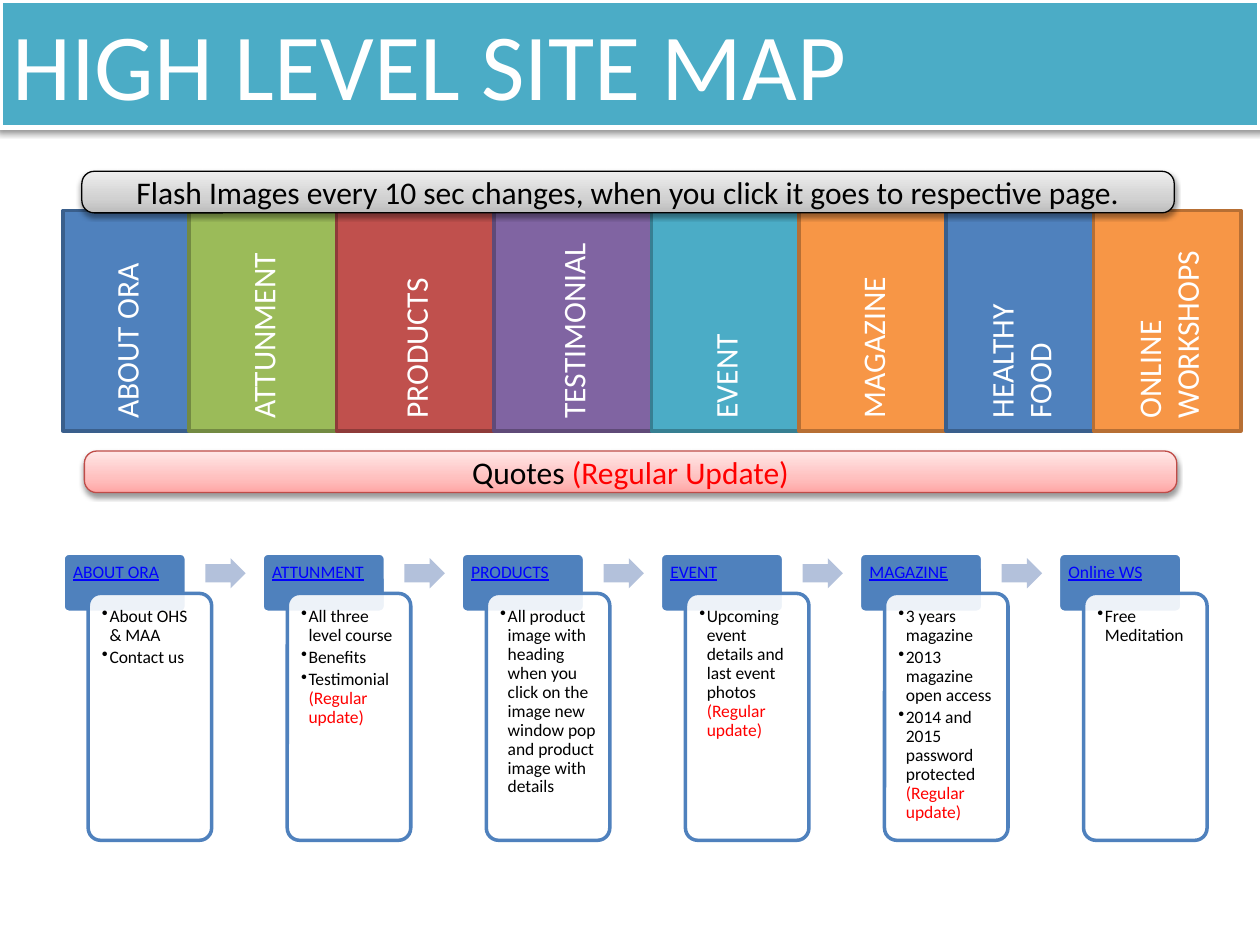
from copy import deepcopy
from dataclasses import dataclass
from itertools import accumulate

from lxml.etree import SubElement
from pptx import Presentation
from pptx.dml.color import RGBColor
from pptx.enum.shapes import MSO_SHAPE as Shape
from pptx.enum.text import MSO_ANCHOR as Anchor, PP_ALIGN as Align
from pptx.oxml.ns import qn
from pptx.util import Inches, Pt


@dataclass(frozen=True)
class Theme:
    """Colours and type sizes of the slide."""
    font: str = "Calibri"
    title: int = 54
    label: int = 18
    small: int = 10
    white: str = "FFFFFF"
    black: str = "000000"
    alert: str = "FF0000"
    link: str = "0000FF"
    arrow: str = "B3C1DB"
    blue: tuple = ("4F81BD", "3A5F8C")
    green: tuple = ("9BBB59", "738A42")
    red: tuple = ("C0504D", "8E3B39")
    purple: tuple = ("8064A2", "5F4A78")
    teal: tuple = ("4BACC6", "377F92")
    orange: tuple = ("F79646", "B76F34")
    quote_line: str = "BF4C48"
    quote_fill: tuple = ("FFA6A5", "FFC0BF", "FFE7E7")
    flash_fill: tuple = ("BDBDBD", "D1D1D1", "EEEEEE")


THEME = Theme()
MENU = [
    ("ABOUT ORA", 1, THEME.blue),
    ("ATTUNMENT", 1.17, THEME.green),
    ("PRODUCTS", 1.25, THEME.red),
    ("TESTIMONIAL", 1.25, THEME.purple),
    ("EVENT", 1.17, THEME.teal),
    ("MAGAZINE", 1.17, THEME.orange),
    ("HEALTHY FOOD", 1.17, THEME.blue),
    ("ONLINE WORKSHOPS", 1.17, THEME.orange),
]
PAGES = [
    ("ABOUT ORA", [("About OHS & MAA",), ("Contact us",)]),
    ("ATTUNMENT", [("All three level course",), ("Benefits",),
                   ("Testimonial ", "(Regular update) ")]),
    ("PRODUCTS", [("All product image with heading when you click on the image "
                   "new window pop and product image with details",)]),
    ("EVENT", [("Upcoming event details and last event photos ", "(Regular update)")]),
    ("MAGAZINE", [("3 years magazine",), ("2013 magazine open access",),
                  ("2014 and 2015 password protected ", "(Regular update)")]),
    ("Online WS", [("Free Meditation",)]),
]


def rgb(code):
    """Turn a hex code into a colour."""
    return RGBColor.from_string(code)


def add_box(slide, kind, box, fill=None, line=None, weight=2, corner=None):
    """Add a preset shape without shadow to the given box."""
    shape = slide.shapes.add_shape(kind, *map(Inches, box))
    shape.shadow.inherit = False
    if fill:
        shape.fill.solid()
        shape.fill.fore_color.rgb = rgb(fill)
    if line:
        shape.line.color.rgb = rgb(line)
        shape.line.width = Pt(weight)
    else:
        shape.line.fill.background()
    if corner is not None:
        shape.adjustments[0] = corner
    return shape


def add_shadow(shape):
    """Give a shape a soft shadow below it."""
    effects = shape._element.spPr.find(qn("a:effectLst"))
    outer = SubElement(effects, qn("a:outerShdw"), blurRad="40000", dist="20000",
                       dir="5400000", rotWithShape="0")
    tint = SubElement(outer, qn("a:srgbClr"), val=THEME.black)
    SubElement(tint, qn("a:alpha"), val="38000")


def add_gradient(shape, colours):
    """Fill a shape with three colours rising from its bottom edge."""
    shape.fill.gradient()
    shape.fill.gradient_angle = 90
    stops = shape._element.spPr.find(qn("a:gradFill")).find(qn("a:gsLst"))
    stops.append(deepcopy(stops[-1]))
    for stop, colour, position in zip(shape.fill.gradient_stops, colours, (0, 0.35, 1)):
        stop.color.rgb = rgb(colour)
        stop.position = position


def write(paragraph, parts, size, colour, align=Align.LEFT):
    """Write the parts as runs, the second one in the alert colour."""
    paragraph.alignment = align
    for part, tint in zip(parts, (colour, THEME.alert)):
        run = paragraph.add_run()
        run.text = part
        run.font.name = THEME.font
        run.font.size = Pt(size)
        run.font.color.rgb = rgb(tint)


def add_text(slide, box, bottom):
    """Add a wrapping text frame with narrow margins."""
    frame = slide.shapes.add_textbox(*map(Inches, box)).text_frame
    frame.word_wrap = True
    frame.margin_left = frame.margin_right = frame.margin_top = Inches(0.08)
    frame.margin_bottom = Inches(bottom)
    return frame


def add_title(slide, box, title):
    """Draw the title band."""
    band = add_box(slide, Shape.RECTANGLE, box, THEME.teal[0], THEME.white, 3)
    add_shadow(band)
    band.text_frame.vertical_anchor = Anchor.TOP
    write(band.text_frame.paragraphs[0], (title,), THEME.title, THEME.white)


def add_menu(slide, box):
    """Draw the row of menu tiles with upright labels."""
    left, top, _, height = box
    offsets = accumulate((width for _, width, _ in MENU), initial=left)
    for (label, width, (fill, line)), x in zip(MENU, offsets):
        tile = add_box(slide, Shape.RECTANGLE, (x, top, width, height), fill, line)
        tile.text_frame.vertical_anchor = Anchor.MIDDLE
        tile.text_frame._txBody.bodyPr.set("vert", "vert270")
        write(tile.text_frame.paragraphs[0], (label,), THEME.label, THEME.white)


def add_banner(slide, box, parts, colours, line):
    """Draw a rounded gradient bar with centred text."""
    bar = add_box(slide, Shape.ROUNDED_RECTANGLE, box, None, line, 0.75, 0.295)
    add_gradient(bar, colours)
    add_shadow(bar)
    bar.text_frame.vertical_anchor = Anchor.MIDDLE
    write(bar.text_frame.paragraphs[0], parts, THEME.label, THEME.black, Align.CENTER)


def add_card(slide, box, heading, points):
    """Draw a page card: its heading tab and its bulleted panel."""
    left, top, width, height = box
    tab_width, panel_top = width - 0.2, top + 0.32
    add_box(slide, Shape.ROUNDED_RECTANGLE, (left, top, tab_width, 0.47),
            THEME.blue[0], THEME.white, corner=0.1)
    tab = add_text(slide, (left, top, tab_width, 0.31), 0.04).paragraphs[0]
    tab.line_spacing = 0.9
    write(tab, (heading,), THEME.small, THEME.link)
    tab.runs[0].font.underline = True

    panel = add_box(slide, Shape.ROUNDED_RECTANGLE,
                    (left + 0.2, panel_top, tab_width, height - 0.32),
                    THEME.white, THEME.blue[0], corner=0.1)
    tint = panel._element.spPr.find(qn("a:solidFill"))[0]
    SubElement(tint, qn("a:alpha"), val="90000")
    frame = add_text(slide, (left + 0.23, panel_top + 0.03, tab_width - 0.05,
                             height - 0.38), 0.08)
    for index, parts in enumerate(points):
        paragraph = frame.add_paragraph() if index else frame.paragraphs[0]
        paragraph.level = 1
        paragraph.line_spacing = 0.9
        paragraph.space_after = Pt(1.8)
        write(paragraph, parts, THEME.small, THEME.black)
        properties = paragraph._p.get_or_add_pPr()
        properties.set("marL", str(Inches(0.06)))
        properties.set("indent", str(-Inches(0.06)))
        SubElement(properties, qn("a:buChar"), char="•")


def add_flow(slide, box):
    """Draw the page cards at equal steps with arrows between them."""
    left, top, _, height = box
    step = 1.58
    for index, (heading, points) in enumerate(PAGES):
        x = left + index * step
        add_card(slide, (x, top, 1.18, height), heading, points)
        if index < len(PAGES) - 1:
            arrow = add_box(slide, Shape.RIGHT_ARROW, (x + 1.13, top + 0.04, 0.32, 0.24),
                            THEME.arrow, corner=0.6)
            arrow.adjustments[1] = 0.5


def build():
    """Build the site map slide and save it."""
    deck = Presentation()
    deck.slide_width, deck.slide_height = Inches(10), Inches(7.5)
    slide = deck.slides.add_slide(deck.slide_layouts[6])
    add_menu(slide, (0.5, 1.67, 9.34, 1.75))
    add_flow(slide, (0.5, 4.39, 9.08, 2.28))
    add_title(slide, (0, 0, 10, 1.01), "HIGH LEVEL SITE MAP")
    add_banner(slide, (0.67, 3.58, 8.67, 0.33), ("Quotes ", "(Regular Update)"),
               THEME.quote_fill, THEME.quote_line)
    add_banner(slide, (0.65, 1.36, 8.67, 0.33),
               ("Flash Images every 10 sec changes, when you click it goes to "
                "respective page.",), THEME.flash_fill, THEME.black)
    deck.save("out.pptx")


build()
